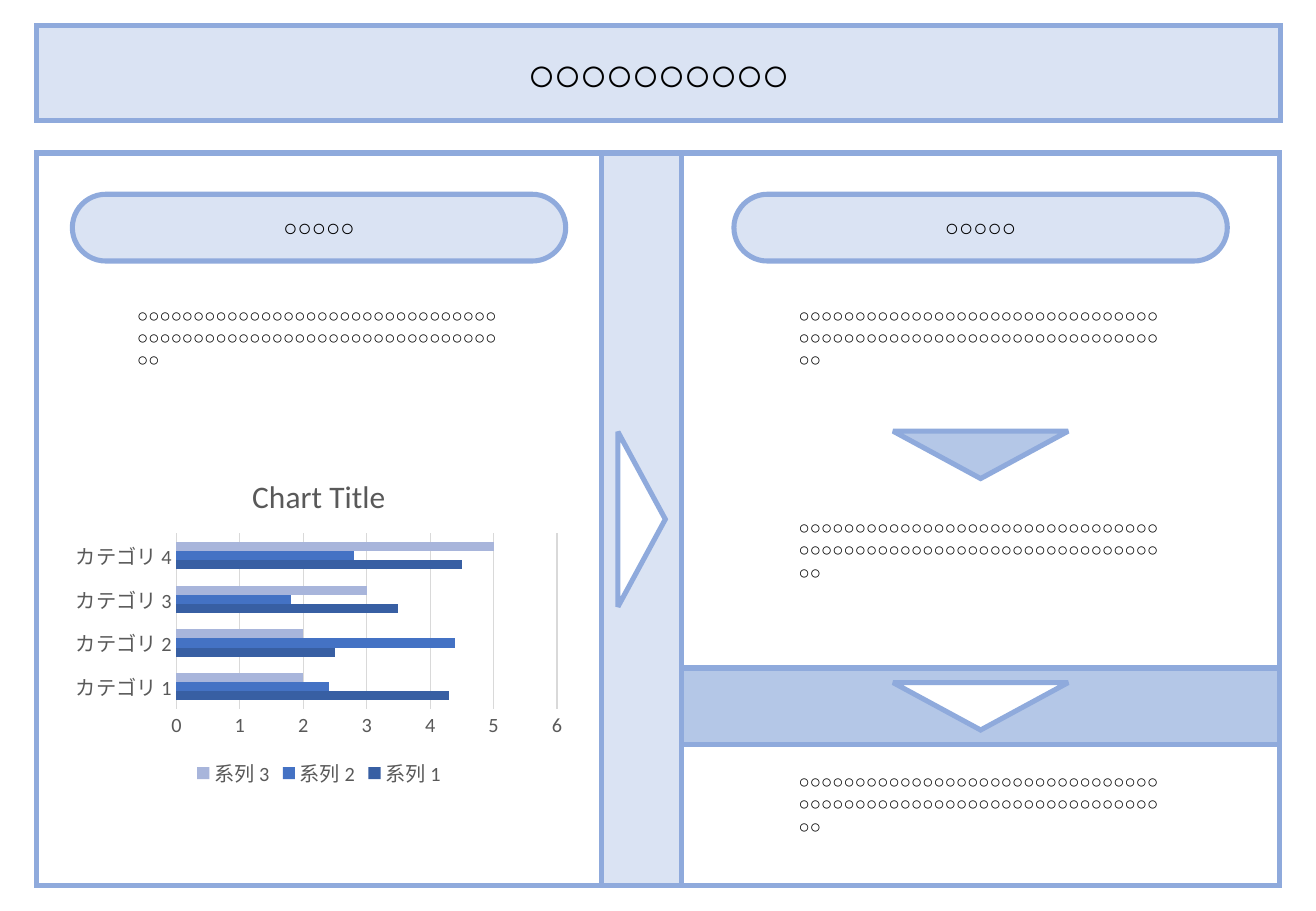
from dataclasses import dataclass

from lxml import etree
from pptx import Presentation
from pptx.chart.data import CategoryChartData
from pptx.dml.color import RGBColor
from pptx.enum.chart import XL_CHART_TYPE, XL_LEGEND_POSITION, XL_TICK_MARK
from pptx.enum.shapes import MSO_SHAPE
from pptx.enum.text import MSO_AUTO_SIZE, PP_ALIGN
from pptx.oxml.ns import qn
from pptx.util import Inches, Pt

RECTANGLE = MSO_SHAPE.RECTANGLE
PILL = MSO_SHAPE.ROUNDED_RECTANGLE
TRIANGLE = MSO_SHAPE.ISOSCELES_TRIANGLE
CENTER, JUSTIFY = PP_ALIGN.CENTER, PP_ALIGN.JUSTIFY
GROW = MSO_AUTO_SIZE.SHAPE_TO_FIT_TEXT
BAR_CLUSTERED = XL_CHART_TYPE.BAR_CLUSTERED
BOTTOM = XL_LEGEND_POSITION.BOTTOM
NO_TICK = XL_TICK_MARK.NONE

WIDTH, HEIGHT = Inches(10.83), Inches(7.5)
COLUMN, ROW = WIDTH / 100, HEIGHT / 100


@dataclass(frozen=True)
class Theme:
    text_font: str = "Arial"
    chart_font: str = "Calibri"
    ink: str = "000000"
    white: str = "FFFFFF"
    pale: str = "DAE3F3"
    soft: str = "B4C7E7"
    edge: str = "8FAADC"
    chart_ink: str = "595959"
    grid: str = "D9D9D9"
    series: tuple = ("385FA3", "4472C4", "A8B5DB")
    title_size: float = 28
    label_size: float = 14
    body_size: float = 11
    chart_title_size: float = 18.6
    chart_size: float = 12
    edge_width: float = 3
    grid_width: float = 0.75


THEME = Theme()


@dataclass(frozen=True)
class Box:
    left: float
    top: float
    width: float
    height: float

    def centered(self, width, height, offset=None):
        if offset is None:
            offset = (self.height - height) / 2
        return Box(self.left + (self.width - width) / 2, self.top + offset, width, height)

    def emu(self):
        return (round(self.left * COLUMN), round(self.top * ROW),
                round(self.width * COLUMN), round(self.height * ROW))


def color(value):
    return RGBColor.from_string(value)


def add_outlined(page, box, kind=RECTANGLE, fill=None, rotation=0):
    shape = page.shapes.add_shape(kind, *box.emu())
    shape.shadow.inherit = False
    shape.rotation = rotation
    if fill:
        shape.fill.solid()
        shape.fill.fore_color.rgb = color(fill)
    else:
        shape.fill.background()
    shape.line.color.rgb = color(THEME.edge)
    shape.line.width = Pt(THEME.edge_width)
    outline = shape._element.spPr.find(qn("a:ln"))
    etree.SubElement(outline, qn("a:miter")).set("lim", "800000")
    return shape


def add_text(page, box, text, size, align, bold=False, spacing=None):
    frame = page.shapes.add_textbox(*box.emu()).text_frame
    frame.word_wrap = True
    frame.auto_size = GROW
    frame.text = text
    para = frame.paragraphs[0]
    para.alignment = align
    font = para.runs[0].font
    font.size, font.name, font.bold = Pt(size), THEME.text_font, bold
    font.color.rgb = color(THEME.ink)
    properties = para.runs[0]._r.get_or_add_rPr()
    etree.SubElement(properties, qn("a:ea")).set("typeface", THEME.text_font)
    if spacing:
        properties.set("spc", str(round(spacing * 100)))


def add_triangle(page, box, fill, rotation=180, offset=None):
    add_outlined(page, box.centered(13.3, 5.2, offset), TRIANGLE, fill, rotation)


def add_heading(page, panel):
    pill = panel.centered(37.49, 7.33, 4.53)
    add_outlined(page, pill, PILL, THEME.pale).adjustments[0] = 0.5
    add_text(page, pill.centered(14.13, 4.53), "○" * 5, THEME.label_size, CENTER)


def add_body(page, panel, offset):
    add_text(page, panel.centered(29.46, 11.2, offset), "○" * 66, THEME.body_size, JUSTIFY)


def style_font(font, size):
    font.size, font.name, font.bold = Pt(size), THEME.chart_font, False
    font.color.rgb = color(THEME.chart_ink)


def style_line(line):
    line.color.rgb = color(THEME.grid)
    line.width = Pt(THEME.grid_width)


def add_bar_chart(page, box):
    data = CategoryChartData()
    data.categories = [f"カテゴリ {number}" for number in range(1, 5)]
    data.add_series("系列 1", (4.3, 2.5, 3.5, 4.5))
    data.add_series("系列 2", (2.4, 4.4, 1.8, 2.8))
    data.add_series("系列 3", (2, 2, 3, 5))
    chart = page.shapes.add_chart(BAR_CLUSTERED, *box.emu(), data).chart
    style_font(chart.font, THEME.chart_size)
    title = chart.chart_title.text_frame
    title.text = "Chart Title"
    style_font(title.paragraphs[0].runs[0].font, THEME.chart_title_size)
    chart.has_legend = True
    chart.legend.position = BOTTOM
    chart.legend.include_in_layout = False
    style_font(chart.legend.font, THEME.chart_size)
    for axis in (chart.category_axis, chart.value_axis):
        axis.major_tick_mark = axis.minor_tick_mark = NO_TICK
        style_font(axis.tick_labels.font, THEME.chart_size)
    style_line(chart.category_axis.format.line)
    chart.value_axis.format.line.fill.background()
    style_line(chart.value_axis.major_gridlines.format.line)
    plot = chart.plots[0]
    plot.gap_width = 182
    plot.vary_by_categories = False
    for series, shade in zip(plot.series, THEME.series):
        series.format.fill.solid()
        series.format.fill.fore_color.rgb = color(shade)


def add_title_bar(page, box):
    add_outlined(page, box, fill=THEME.pale)
    add_text(page, box.centered(71.56, 7.6), "○" * 10, THEME.title_size, CENTER, True, -1.5)


def add_arrow_band(page, box):
    add_outlined(page, box, fill=THEME.pale)
    add_triangle(page, box, THEME.white, 90)


def add_chart_panel(page, box):
    add_outlined(page, box)
    add_heading(page, box)
    add_body(page, box, 15.87)
    add_bar_chart(page, box.centered(38.5, 37.07, 33.2))


def add_flow_panel(page, box):
    upper_height, band_height = 56.53, 8.4
    upper = Box(box.left, box.top, box.width, upper_height)
    band = Box(box.left, box.top + upper_height, box.width, band_height)
    lower = Box(box.left, band.top + band_height, box.width,
                box.height - upper_height - band_height)
    add_outlined(page, band, fill=THEME.soft)
    add_outlined(page, upper)
    add_outlined(page, lower)
    add_heading(page, upper)
    add_body(page, upper, 15.87)
    add_triangle(page, upper, THEME.soft, offset=30.53)
    add_body(page, upper, 39.2)
    add_triangle(page, band, THEME.white)
    add_body(page, lower, 2.13)


def main():
    deck = Presentation()
    deck.slide_width, deck.slide_height = WIDTH, HEIGHT
    page = deck.slides.add_slide(deck.slide_layouts[6])
    left, top, height = 2.77, 16.8, 80.4
    chart_width, band_width, flow_width = 42.94, 6.09, 45.43
    band_left = left + chart_width
    add_title_bar(page, Box(left, 2.8, 94.55, 10.4))
    add_arrow_band(page, Box(band_left, top, band_width, height))
    add_chart_panel(page, Box(left, top, chart_width, height))
    add_flow_panel(page, Box(band_left + band_width, top, flow_width, height))
    deck.save("out.pptx")


if __name__ == "__main__":
    main()
